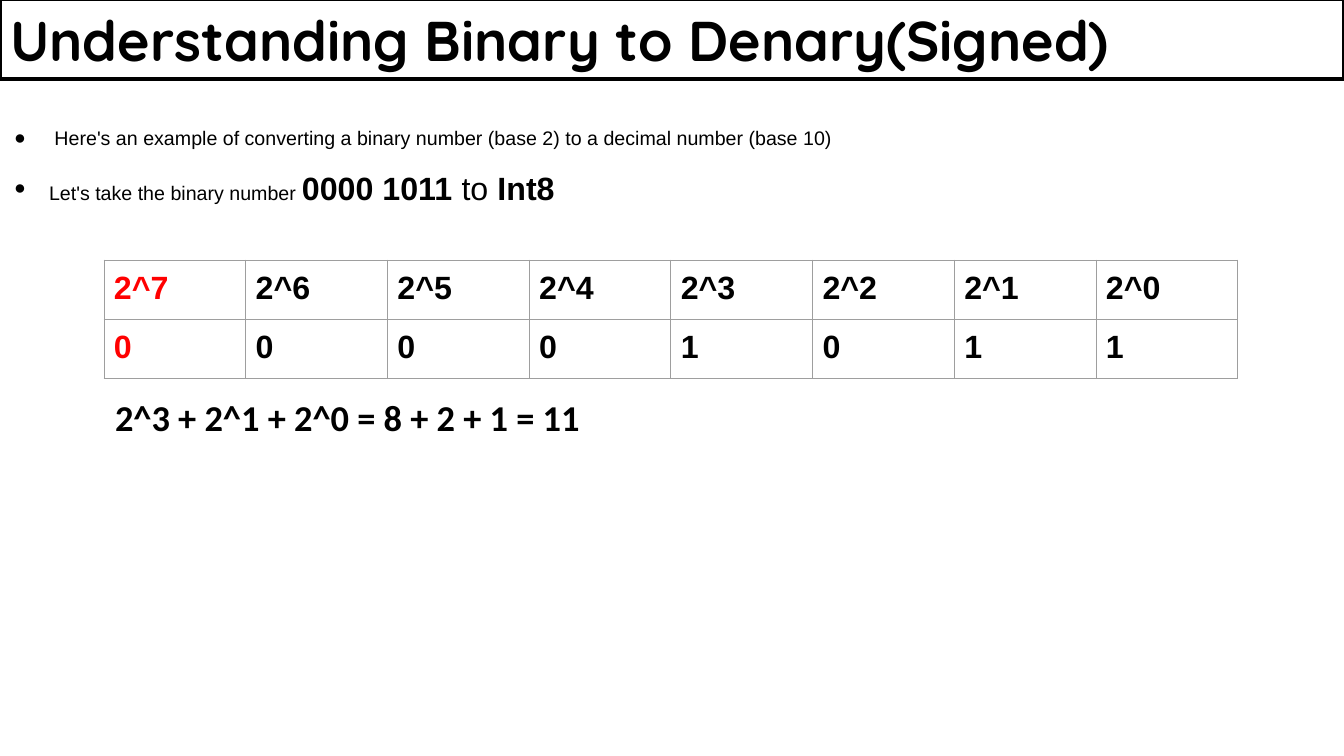
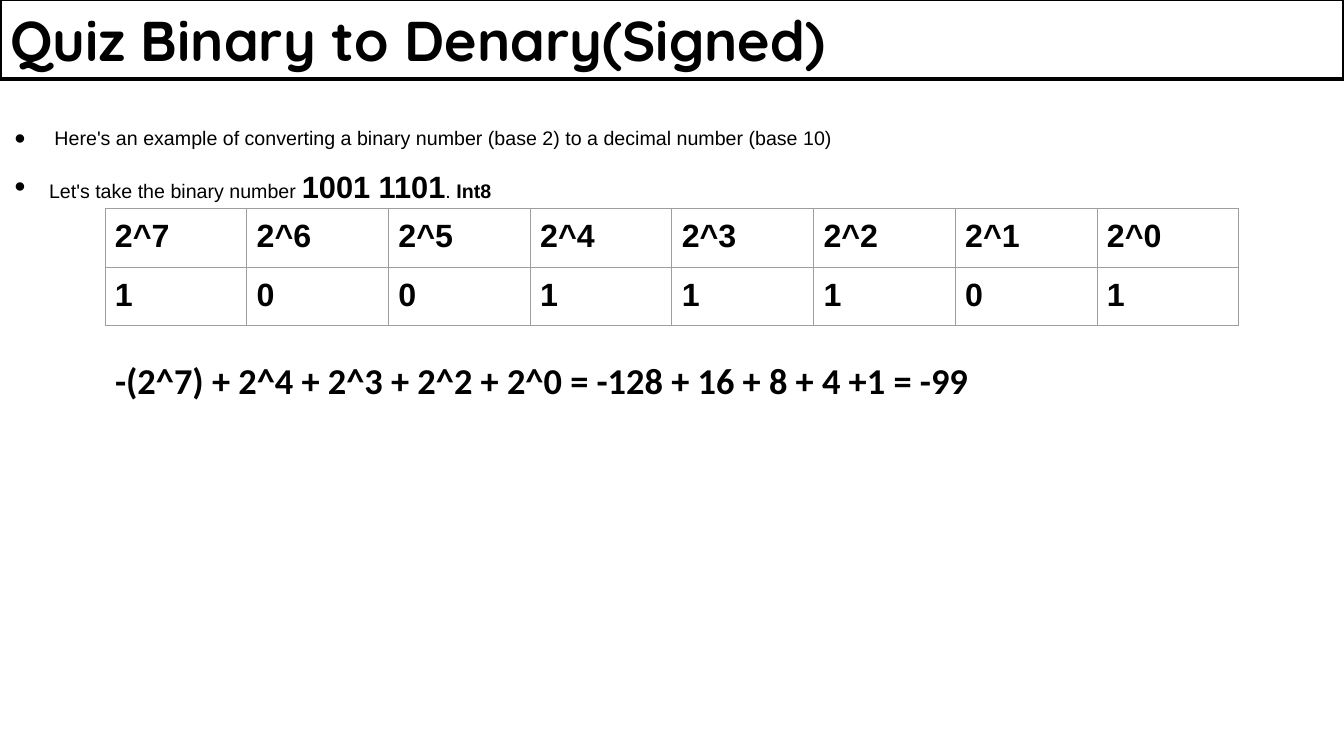
from dataclasses import dataclass

from lxml import etree
from pptx import Presentation
from pptx.dml.color import RGBColor
from pptx.enum.text import MSO_ANCHOR, MSO_AUTO_SIZE, PP_ALIGN
from pptx.oxml.ns import qn
from pptx.util import Emu, Pt

PX = 914400 / 100.8
WIDTH, HEIGHT = 1344, 756
BLACK = RGBColor(0x00, 0x00, 0x00)
RED = RGBColor(0xFF, 0x00, 0x00)
GRID = RGBColor(0x9E, 0x9E, 0x9E)
TITLE_FONT, BODY_FONT, SUM_FONT = "Quicksand", "Arial", "Calibri"
LEFT, JUSTIFY = PP_ALIGN.LEFT, PP_ALIGN.JUSTIFY
MIDDLE, TOP = MSO_ANCHOR.MIDDLE, MSO_ANCHOR.TOP
NO_FIT, GROW = MSO_AUTO_SIZE.NONE, MSO_AUTO_SIZE.SHAPE_TO_FIT_TEXT
TITLE_AND_CONTENT = 1
BITS = 8
TABLE_WIDTH, ROW_HEIGHT = 1134, 59
INTRO = " Here's an example of converting a binary number (base 2) to a decimal number (base 10)"
TAKE = "Let's take the binary number "


@dataclass(frozen=True)
class Part:
    text: str
    size: int = 14
    bold: bool = False


@dataclass(frozen=True)
class Lesson:
    title: str
    task: tuple[Part, ...]
    body_height: int
    bits: str
    table_left: int
    table_top: int
    sign_color: RGBColor
    total: str
    total_top: int
    total_height: int
    total_inset: int


LESSONS = (
    Lesson("Understanding Binary to Denary(Signed)",
           (Part(TAKE), Part("0000 1011 ", 23, True), Part("to ", 23), Part("Int8", 23, True)),
           153, "00001011", 104, 260, RED,
           "2^3 + 2^1 + 2^0 = 8 + 2 + 1 = 11", 385, 65, 10),
    Lesson("Quiz Binary to Denary(Signed)",
           (Part(TAKE), Part("1001 1101", 22, True), Part(". "), Part("Int8", 14, True)),
           151, "10011101", 105, 208, BLACK,
           "-(2^7) + 2^4 + 2^3 + 2^2 + 2^0 = -128 + 16 + 8 + 4 +1 = -99", 324, 89, 34),
)


def px(n: int) -> Emu:
    return Emu(round(n * PX))


def place(sp, left: int, top: int, width: int, height: int) -> None:
    sp.left, sp.top, sp.width, sp.height = map(px, (left, top, width, height))


def set_frame(tf, left: int, top: int, right: int, bottom: int, anchor=TOP, fit=NO_FIT) -> None:
    tf.word_wrap = True
    tf.auto_size = fit
    tf.vertical_anchor = anchor
    tf.margin_left, tf.margin_top = px(left), px(top)
    tf.margin_right, tf.margin_bottom = px(right), px(bottom)


def add_text(p, text: str, *, size: int, font: str = BODY_FONT,
             bold: bool = True, color: RGBColor = BLACK) -> None:
    r = p.add_run()
    r.text = text
    r.font.size, r.font.name, r.font.bold = Pt(size), font, bold
    r.font.color.rgb = color


def add_color(parent, color: RGBColor) -> None:
    etree.SubElement(parent, qn("a:srgbClr"), val=str(color))


def set_bullet(p) -> None:
    p.alignment = JUSTIFY
    p.line_spacing = 1.5
    p.space_before = Pt(0)
    pPr = p._p.get_or_add_pPr()
    pPr.set("marL", str(px(50)))
    pPr.set("indent", str(px(-35)))
    add_color(etree.SubElement(pPr, qn("a:buClr")), BLACK)
    etree.SubElement(pPr, qn("a:buFont"), typeface=BODY_FONT)
    etree.SubElement(pPr, qn("a:buChar"), char="●")


def set_borders(cell) -> None:
    tcPr = cell._tc.get_or_add_tcPr()
    for side in ("lnL", "lnR", "lnT", "lnB"):
        ln = etree.SubElement(tcPr, qn(f"a:{side}"), w=str(Pt(0.75)))
        add_color(etree.SubElement(ln, qn("a:solidFill")), GRID)


def add_title(s, text: str) -> None:
    sp = s.shapes.title
    place(sp, 0, -1, WIDTH, 80)
    sp.line.color.rgb = BLACK
    sp.line.width = Pt(3)
    set_frame(sp.text_frame, 10, 5, 10, 5, anchor=MIDDLE)
    p = sp.text_frame.paragraphs[0]
    p.alignment = LEFT
    add_text(p, text, size=40, font=TITLE_FONT)


def add_body(s, task: tuple[Part, ...], height: int) -> None:
    sp = s.placeholders[1]
    place(sp, -1, 78, WIDTH, height)
    tf = sp.text_frame
    set_frame(tf, 0, 36, 0, 0, fit=GROW)
    for p, parts in ((tf.paragraphs[0], (Part(INTRO),)), (tf.add_paragraph(), task)):
        set_bullet(p)
        for part in parts:
            add_text(p, part.text, size=part.size, bold=part.bold)


def add_bit_table(s, lesson: Lesson) -> None:
    tbl = s.shapes.add_table(2, BITS, px(lesson.table_left), px(lesson.table_top),
                             px(TABLE_WIDTH), px(2 * ROW_HEIGHT)).table
    tbl.first_row = tbl.horz_banding = False
    powers = [f"2^{n}" for n in reversed(range(BITS))]
    for row, values in enumerate((powers, lesson.bits)):
        for col, value in enumerate(values):
            cell = tbl.cell(row, col)
            cell.margin_left = cell.margin_right = px(10)
            cell.margin_top = cell.margin_bottom = px(10)
            set_borders(cell)
            cell.fill.background()
            add_text(cell.text_frame.paragraphs[0], value, size=23,
                     color=BLACK if col else lesson.sign_color)


def add_total(s, lesson: Lesson) -> None:
    sp = s.shapes.add_textbox(px(105), px(lesson.total_top),
                              px(TABLE_WIDTH), px(lesson.total_height))
    set_frame(sp.text_frame, 10, lesson.total_inset, 10, 10, fit=GROW)
    add_text(sp.text_frame.paragraphs[0], lesson.total, size=26, font=SUM_FONT)


def main() -> None:
    prs = Presentation()
    prs.slide_width, prs.slide_height = px(WIDTH), px(HEIGHT)
    for lesson in LESSONS:
        s = prs.slides.add_slide(prs.slide_layouts[TITLE_AND_CONTENT])
        add_title(s, lesson.title)
        add_body(s, lesson.task, lesson.body_height)
        add_bit_table(s, lesson)
        add_total(s, lesson)
    prs.save("out.pptx")


if __name__ == "__main__":
    main()
